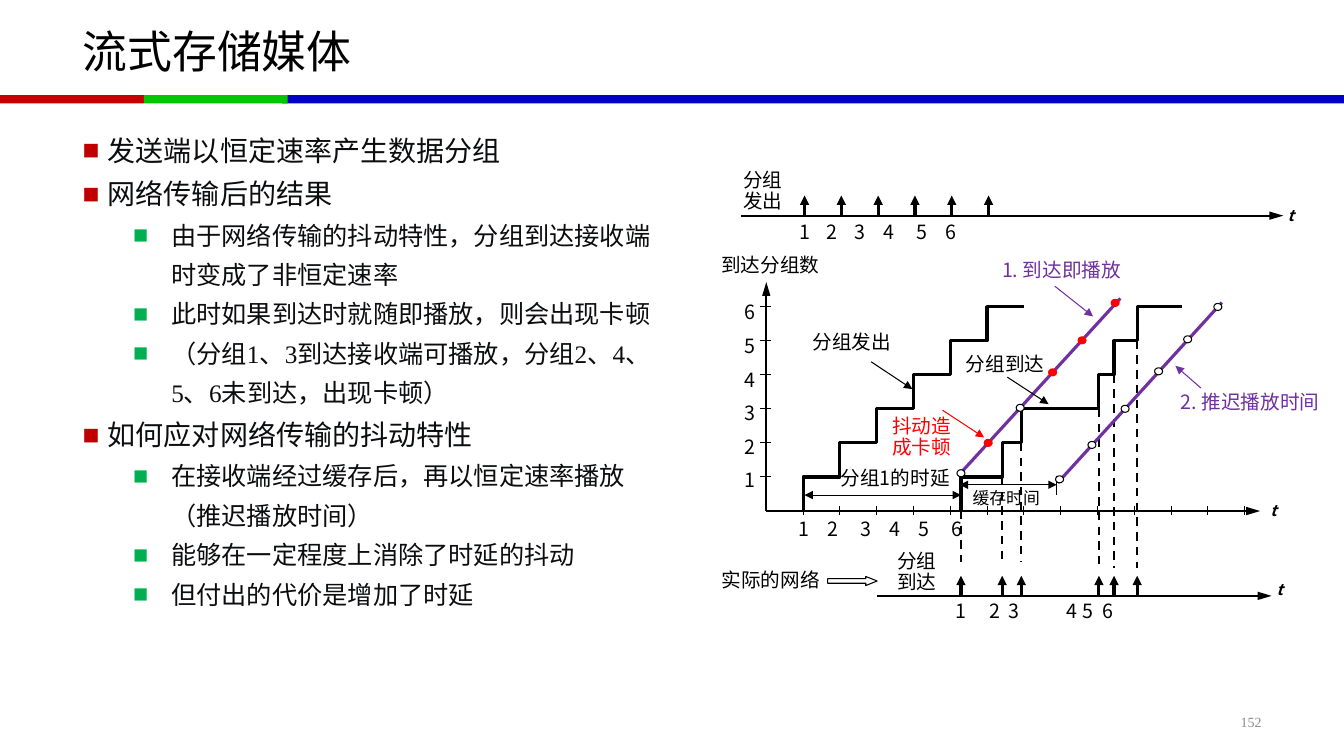
from lxml import etree
from pptx import Presentation, util as u
from pptx.dml.color import RGBColor
from pptx.enum import dml, shapes, text as t
from pptx.oxml.ns import qn

BLACK = RGBColor(0, 0, 0)
WHITE = RGBColor(255, 255, 255)
INK = RGBColor(0x0C, 0x0D, 0x0F)
GRAY = RGBColor(0x8C, 0x8C, 0x8C)
RED = RGBColor(255, 0, 0)
VIOLET = RGBColor(0x70, 0x30, 0xA0)
BLUE = RGBColor(0, 0, 0xC8)
CRIMSON = RGBColor(0xC8, 0, 0)
GREEN = RGBColor(0, 0xC8, 0)
HEAD = RGBColor(0xC0, 0, 0)
SUB = RGBColor(0, 0xB0, 0x50)
SANS, SERIF = "Noto Sans CJK SC", "Times New Roman"
W, H = u.Inches(13.33), u.Inches(7.5)
STEP, RISE = 0.365, 0.338
SENT = [1, 2, 3, 4, 5, 6]
COME = [5.29, 6.41, 6.93, 9.04, 9.45, 10.08]
TOP, LOW = 8.67, -2.49

POINTS = [
    (0, "发送端以恒定速率产生数据分组"),
    (0, "网络传输后的结果"),
    (1, "由于网络传输的抖动特性，分组到达接收端时变成了非恒定速率"),
    (1, "此时如果到达时就随即播放，则会出现卡顿"),
    (1, "（分组1、3到达接收端可播放，分组2、4、5、6未到达，出现卡顿）"),
    (0, "如何应对网络传输的抖动特性"),
    (1, "在接收端经过缓存后，再以恒定速率播放（推迟播放时间）"),
    (1, "能够在一定程度上消除了时延的抖动"),
    (1, "但付出的代价是增加了时延"),
]


def col(n):
    """Place of column n of the plot, counted from its origin."""
    return u.Inches(7.6 + n * STEP)


def row(n):
    """Place of row n of the plot, counted upwards from its origin."""
    return u.Inches(5.07 - n * RISE)


def add(node, tag, **attrs):
    return etree.SubElement(node, qn(tag), attrs)


def write(frame, words, size=14, color=BLACK, face=SANS, bold=None,
          italic=None, align=None, space=None, tabs=()):
    """Fill a text frame, one paragraph for each line of words."""
    for i, line in enumerate(words.split("\n")):
        para = frame.paragraphs[0] if i == 0 else frame.add_paragraph()
        if tabs:
            stops = add(para._p.get_or_add_pPr(), "a:tabLst")
            for stop in tabs:
                add(stops, "a:tab", pos=str(u.Inches(stop)), algn="l")
        para.alignment, para.line_spacing = align, space
        run = para.add_run()
        run.text = line
        font = run.font
        font.size, font.name, font.color.rgb = u.Pt(size), face, color
        font.bold, font.italic = bold, italic
        add(run._r.get_or_add_rPr(), "a:ea", typeface=SANS)


def label(slide, c, r, wide, words, wrap=False, **style):
    box = slide.shapes.add_textbox(col(c), row(r), u.Inches(wide * STEP), u.Inches(RISE))
    box.text_frame.word_wrap = wrap
    style.setdefault("space", 0.9)
    write(box.text_frame, words, **style)


def line(slide, start, end, color=BLACK, width=0.75, tip=None, both=False, dash=False):
    """Draw a connector; tip is the length of its arrowhead."""
    link = slide.shapes.add_connector(
        shapes.MSO_CONNECTOR.STRAIGHT, col(start[0]), row(start[1]), col(end[0]), row(end[1]))
    link.line.color.rgb, link.line.width = color, u.Pt(width)
    if dash:
        link.line.dash_style = dml.MSO_LINE.DASH
    ends = (["a:headEnd"] if both else []) + (["a:tailEnd"] if tip else [])
    for tag in ends:
        add(link.line._get_or_add_ln(), tag, type="triangle", w="med", len=tip)
    add(link._element.spPr, "a:effectLst")


def form(slide, kind, box, fill=None, edge=None):
    item = slide.shapes.add_shape(kind, *box)
    item.shadow.inherit = False
    if fill is None:
        item.fill.background()
    else:
        item.fill.solid()
        item.fill.fore_color.rgb = fill
    if edge is None:
        item.line.fill.background()
    else:
        item.line.color.rgb, item.line.width = edge, u.Pt(0.75)
    return item


def stairs(slide, cols, last):
    """Draw a step curve rising one row at each of cols."""
    spots = [(cols[0], 0)]
    for level, (c, after) in enumerate(zip(cols, cols[1:] + [last]), 1):
        spots += [(c, level), (after, level)]
    ends = [(col(c), row(r)) for c, r in spots]
    pen = slide.shapes.build_freeform(*ends[0])
    pen.add_line_segments(ends[1:], close=False)
    curve = pen.convert_to_shape()
    curve.shadow.inherit = False
    curve.fill.background()
    curve.line.color.rgb, curve.line.width = BLACK, u.Pt(2.25)


def dots(slide, spots, late=()):
    wide, high = u.Inches(0.08), u.Inches(0.07)
    for i, (c, r) in enumerate(spots):
        fill, edge = (RED, RED) if i in late else (WHITE, BLACK)
        box = col(c) - wide // 2, row(r) - high // 2, wide, high
        form(slide, shapes.MSO_SHAPE.OVAL, box, fill, edge)


def axis(slide, start, end):
    line(slide, start, end, width=1.5, tip="lg")


def pulses(slide, cols, r):
    for c in cols:
        line(slide, (c, r), (c, r + 0.59), width=2.25, tip="med")


def frame(slide):
    """Set the title, the colour band and the page number."""
    for start, wide, fill in ((0.21, 0.79, BLUE), (0, 0.107, CRIMSON), (0.107, 0.107, GREEN)):
        box = int(W * start), int(H * 0.126), int(W * wide), int(H * 0.011)
        form(slide, shapes.MSO_SHAPE.RECTANGLE, box, fill)
    title = slide.shapes.title
    title.left, title.top = int(W * 0.054), int(H * 0.011)
    title.width, title.height = int(W * 0.892), int(H * 0.112)
    title.text_frame.vertical_anchor = t.MSO_ANCHOR.MIDDLE
    write(title.text_frame, "流式存储媒体", size=32, align=t.PP_ALIGN.LEFT)
    page = slide.shapes.add_textbox(int(W * 0.638), int(H * 0.935), int(W * 0.308), int(H * 0.04))
    page.text_frame.word_wrap = True
    page.text_frame.vertical_anchor = t.MSO_ANCHOR.MIDDLE
    write(page.text_frame, "152", size=10, color=GRAY, face=SERIF, align=t.PP_ALIGN.RIGHT)


def bullets(slide):
    body = slide.placeholders[1]
    body.left, body.top = int(W * 0.054), int(H * 0.157)
    body.width, body.height = int(W * 0.453), int(H * 0.756)
    body.text_frame.auto_size = t.MSO_AUTO_SIZE.NONE
    for i, (level, words) in enumerate(POINTS):
        para = body.text_frame.paragraphs[0] if i == 0 else body.text_frame.add_paragraph()
        para.level = level
        para.space_before = u.Pt(0)
        para.line_spacing = u.Pt((31, 28.2)[level])
        props = para._p.get_or_add_pPr()
        props.set("marL", str(u.Inches((0.25, 0.88)[level])))
        props.set("indent", str(-u.Inches((0.25, 0.38)[level])))
        add(add(props, "a:buClr"), "a:srgbClr", val=str((HEAD, SUB)[level]))
        add(props, "a:buFont", typeface=SERIF)
        add(props, "a:buChar", char="■")
        run = para.add_run()
        run.text = words
        run.font.size, run.font.name = u.Pt((20, 18)[level]), SERIF
        run.font.color.rgb = INK
        add(run._r.get_or_add_rPr(), "a:ea", typeface=SANS)


def plot(slide):
    """Draw the axes, curves and playing lines."""
    axis(slide, (-0.68, TOP), (14.05, TOP))
    pulses(slide, [c + 0.04 for c in SENT], TOP)
    axis(slide, (0, 0), (0, 6.72))
    axis(slide, (0, 0), (13.42, 0))
    for r in SENT:
        line(slide, (-0.16, r), (0.14, r))
    for c in range(1, 14):
        line(slide, (c, 0.14), (c, -0.13))
    stairs(slide, SENT, 7)
    stairs(slide, COME, 11.29)
    axis(slide, (3.01, LOW), (13.73, LOW))
    pulses(slide, COME, LOW)
    for i, c in enumerate(COME):
        line(slide, (c, i), (c, -1.51 if i < 3 else -1.66), width=1.5, dash=True)
    box = col(1.67), row(-1.92), u.Inches(0.49), u.Inches(0.09)
    arrow = form(slide, shapes.MSO_SHAPE.RIGHT_ARROW, box, edge=BLACK)
    arrow.adjustments[1] = 1.25
    line(slide, (7.89, 1.04), (7.89, 0.47))
    line(slide, (5.26, 0.77), (7.89, 0.77), tip="med", both=True)
    line(slide, (1.04, 0.47), (5.29, 0.47), tip="med", both=True)
    line(slide, (5.26, 1.09), (9.62, 6.24), VIOLET, 2.25)
    line(slide, (7.92, 0.83), (12.38, 6.12), VIOLET, 2.25)
    dots(slide, [(5.29, 1.11), (6.03, 2), (6.9, 3.03), (7.78, 4.07), (8.58, 5.01), (9.48, 6.11)],
         late=(1, 3, 4, 5))
    dots(slide, [(7.97, 0.93), (8.85, 1.94), (9.75, 3), (10.66, 4.1), (11.45, 5.04), (12.27, 5.99)])
    for start, end, color in (
            ((11.81, 3.61), (11.12, 4.26), VIOLET), ((7.84, 6.6), (8.88, 5.71), VIOLET),
            ((2.85, 4.38), (3.97, 3.58), BLACK), ((6.55, 3.93), (7.67, 3.14), BLACK),
            ((4.79, 2.96), (5.92, 2.16), RED)):
        line(slide, start, end, color, tip="med")


def names(slide):
    """Write the labels and numbers of the plot."""
    mid = t.PP_ALIGN.CENTER
    label(slide, -0.9, 10.15, 1.62, "分组\n发出", align=mid)
    label(slide, -1.5, 7.63, 3.23, "到达分组数", align=mid)
    label(slide, -0.85, 6.63, 0.88, "6\n5\n4\n3\n2\n1", space=u.Pt(24))
    label(slide, 5.34, 0.77, 2.41, "缓存时间", size=12)
    label(slide, 0.99, 5.38, 2.71, "分组发出")
    label(slide, 5.15, 4.73, 2.79, "分组到达")
    label(slide, 3.29, -1.04, 1.62, "分组\n到达")
    label(slide, -1.48, -1.6, 3.23, "实际的网络")
    label(slide, 1.75, 1.39, 3.56, "分组1的时延", wrap=True)
    label(slide, 6.14, 7.51, 3.84, "1. 到达即播放", wrap=True, color=VIOLET)
    label(slide, 10.99, 3.61, 4.38, "2. 推迟播放时间", wrap=True, color=VIOLET)
    label(slide, 3.15, 2.93, 2.33, "抖动造成卡顿", wrap=True, color=RED)
    for c, r, tabs in ((0.63, 8.7, (0.27, 0.55, 0.83, 1.16, 1.45)),
                       (0.6, -0.03, (0.29, 0.62, 0.9, 1.19, 1.52)),
                       (4.88, -2.43, (0.33, 0.52, 1.1, 1.26, 1.46))):
        label(slide, c, r, 6, "1\t2\t3\t4\t5\t6", wrap=True, space=1, tabs=tabs)
    for c, r in ((13.89, 9.11), (13.42, 0.44), (13.59, -1.89)):
        label(slide, c, r, 0.74, "t", size=11, bold=True, italic=True, space=1)


def main():
    deck = Presentation()
    deck.slide_width, deck.slide_height = W, H
    slide = deck.slides.add_slide(deck.slide_layouts[1])
    for step in (frame, bullets, plot, names):
        step(slide)
    deck.save("out.pptx")


if __name__ == "__main__":
    main()
